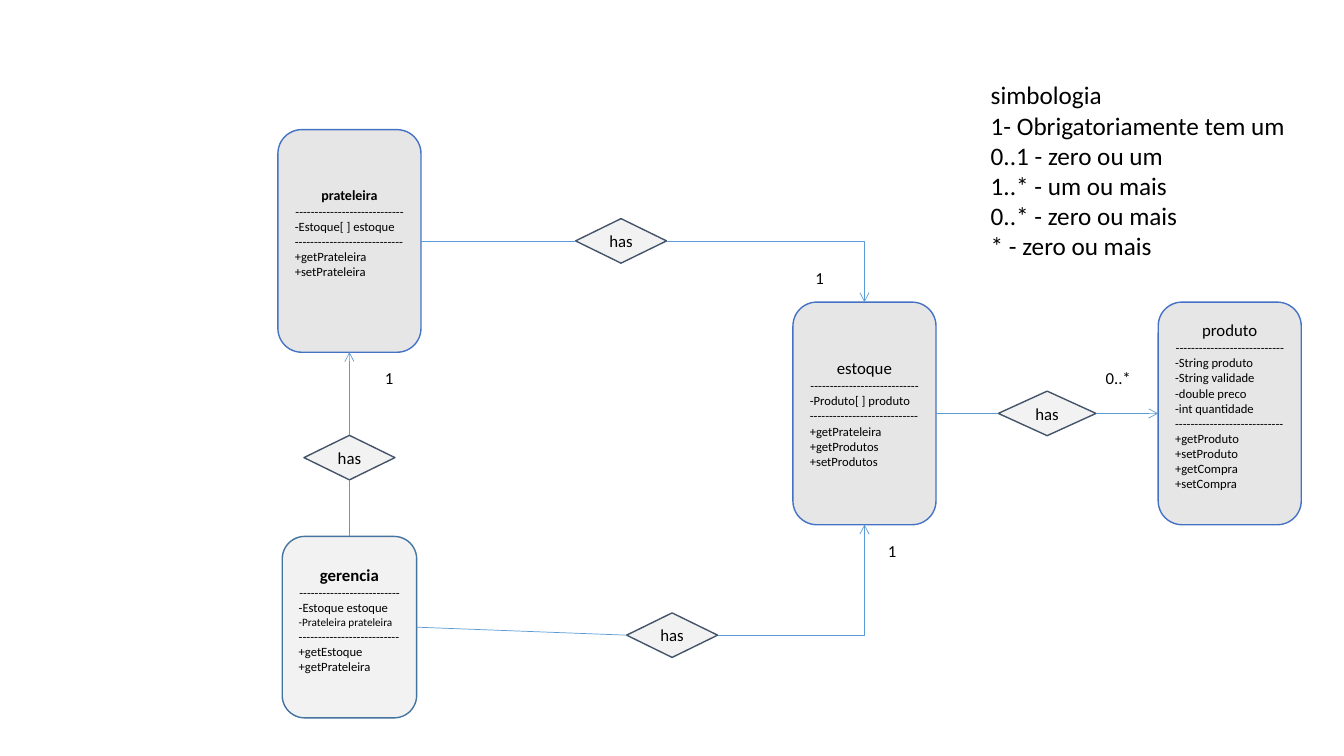
from dataclasses import dataclass

from lxml.etree import SubElement
from pptx import Presentation
from pptx.dml.color import RGBColor
from pptx.enum.shapes import MSO_CONNECTOR, MSO_SHAPE
from pptx.enum.text import MSO_ANCHOR, PP_ALIGN
from pptx.oxml.ns import qn
from pptx.util import Pt


@dataclass(frozen=True)
class Theme:
    font: str = "Calibri"
    text: str = "000000"
    class_fill: str = "E7E6E6"
    class_line: str = "4472C4"
    manager_fill: str = "F2F2F2"
    manager_line: str = "43739E"
    relation_fill: str = "F2F2F2"
    relation_line: str = "44546A"
    link: str = "5B9BD5"
    legend_size: float = 18
    label_size: float = 12
    small_title_size: float = 10
    member_size: float = 9
    small_member_size: float = 8
    outline: float = 1
    link_width: float = 0.5


TOP, LEFT, BOTTOM, RIGHT = range(4)


class Diagram:
    def __init__(self, slide, theme):
        self.slide = slide
        self.theme = theme

    def add_lines(self, frame, lines):
        for number, (words, size, bold, align) in enumerate(lines):
            paragraph = frame.paragraphs[0] if number == 0 else frame.add_paragraph()
            paragraph.alignment = align
            run = paragraph.add_run()
            run.text = words
            run.font.name = self.theme.font
            run.font.size = Pt(size)
            run.font.bold = bold
            run.font.color.rgb = RGBColor.from_string(self.theme.text)

    def node(self, preset, box, fill, line, lines):
        node = self.slide.shapes.add_shape(preset, *map(Pt, box))
        node.shadow.inherit = False
        node.fill.solid()
        node.fill.fore_color.rgb = RGBColor.from_string(fill)
        node.line.color.rgb = RGBColor.from_string(line)
        node.line.width = Pt(self.theme.outline)
        node.text_frame.vertical_anchor = MSO_ANCHOR.MIDDLE
        self.add_lines(node.text_frame, lines)
        return node

    def class_box(self, box, title, attributes, methods, title_size=None, bold=False,
                  dashes=28, fill=None, line=None, bottom_inset=3.6, small=()):
        theme = self.theme
        divider = "-" * dashes
        lines = [(title, title_size or theme.label_size, bold, PP_ALIGN.CENTER),
                 (divider, theme.member_size, False, PP_ALIGN.CENTER)]
        for member in [*attributes, divider, *methods]:
            size = theme.small_member_size if member in small else theme.member_size
            lines.append((member, size, False, PP_ALIGN.LEFT))
        node = self.node(MSO_SHAPE.ROUNDED_RECTANGLE, box, fill or theme.class_fill,
                         line or theme.class_line, lines)
        node.text_frame.word_wrap = True
        node.text_frame.margin_bottom = Pt(bottom_inset)
        return node

    def relation(self, center_x, center_y, width=65, height=31.8):
        box = (center_x - width / 2, center_y - height / 2, width, height)
        node = self.node(MSO_SHAPE.FLOWCHART_DECISION, box, self.theme.relation_fill,
                         self.theme.relation_line,
                         [("has", self.theme.label_size, False, PP_ALIGN.CENTER)])
        node.text_frame.word_wrap = False
        return node

    def link(self, start, start_side, end, end_side, arrow=False, bent=False):
        kind = MSO_CONNECTOR.ELBOW if bent else MSO_CONNECTOR.STRAIGHT
        link = self.slide.shapes.add_connector(kind, 0, 0, 0, 0)
        link.begin_connect(start, start_side)
        link.end_connect(end, end_side)
        link.line.color.rgb = RGBColor.from_string(self.theme.link)
        link.line.width = Pt(self.theme.link_width)
        properties = link._element.spPr
        if bent:
            properties.find(qn("a:prstGeom")).set("prst", "bentConnector2")
        if arrow:
            SubElement(properties.find(qn("a:ln")), qn("a:tailEnd"), type="arrow")
        SubElement(properties, qn("a:effectLst"))

    def text(self, box, lines, size, wrap=False):
        frame = self.slide.shapes.add_textbox(*map(Pt, box)).text_frame
        frame.word_wrap = wrap
        self.add_lines(frame, [(words, size, False, PP_ALIGN.LEFT) for words in lines])


def main():
    presentation = Presentation()
    presentation.slide_width, presentation.slide_height = Pt(960), Pt(540)
    theme = Theme()
    diagram = Diagram(presentation.slides.add_slide(presentation.slide_layouts[6]), theme)

    class_size = (102.2, 159)
    prateleira = diagram.class_box(
        (198.5, 92.6, *class_size), "prateleira", ["-Estoque[ ] estoque"],
        ["+getPrateleira", "+setPrateleira"],
        title_size=theme.small_title_size, bold=True, bottom_inset=14.6)
    estoque = diagram.class_box(
        (566.4, 215.8, *class_size), "estoque", ["-Produto[ ] produto"],
        ["+getPrateleira", "+getProdutos", "+setProdutos"])
    produto = diagram.class_box(
        (827.3, 215.8, *class_size), "produto",
        ["-String produto", "-String validade", "-double preco", "-int quantidade"],
        ["+getProduto", "+setProduto", "+getCompra", "+setCompra"], bottom_inset=14.6)
    gerencia = diagram.class_box(
        (201.6, 383.2, 96, 129.6), "gerencia",
        ["-Estoque estoque", "-Prateleira prateleira"], ["+getEstoque", "+getPrateleira"],
        bold=True, dashes=26, fill=theme.manager_fill, line=theme.manager_line,
        bottom_inset=14.6, small=("-Prateleira prateleira",))

    prateleira_estoque = diagram.relation(443.6, 172.1)
    estoque_produto = diagram.relation(748, 295.3, width=69.8)
    gerencia_prateleira = diagram.relation(249.6, 326.9)
    gerencia_estoque = diagram.relation(480.1, 453.7)

    diagram.link(prateleira_estoque, LEFT, prateleira, RIGHT)
    diagram.link(prateleira_estoque, RIGHT, estoque, TOP, arrow=True, bent=True)
    diagram.link(estoque_produto, LEFT, estoque, RIGHT)
    diagram.link(estoque_produto, RIGHT, produto, LEFT, arrow=True)
    diagram.link(gerencia_prateleira, BOTTOM, gerencia, TOP)
    diagram.link(gerencia_prateleira, TOP, prateleira, BOTTOM, arrow=True)
    diagram.link(gerencia_estoque, LEFT, gerencia, RIGHT)
    diagram.link(gerencia_estoque, RIGHT, estoque, BOTTOM, arrow=True, bent=True)

    for left, top, width, multiplicity in [
        (575.3, 187.9, 20.2, "1"),
        (782.6, 259.2, 32.4, "0..*"),
        (267.8, 259.2, 20.2, "1"),
        (627.1, 383, 20.2, "1"),
    ]:
        diagram.text((left, top, width, 21.8), [multiplicity], theme.label_size)

    diagram.text(
        (700.6, 53.3, 234.7, 138.2),
        ["simbologia", "1- Obrigatoriamente tem um", "0..1 - zero ou um",
         "1..* - um ou mais", "0..* - zero ou mais", "* - zero ou mais"],
        theme.legend_size, wrap=True)

    presentation.save("out.pptx")


if __name__ == "__main__":
    main()
